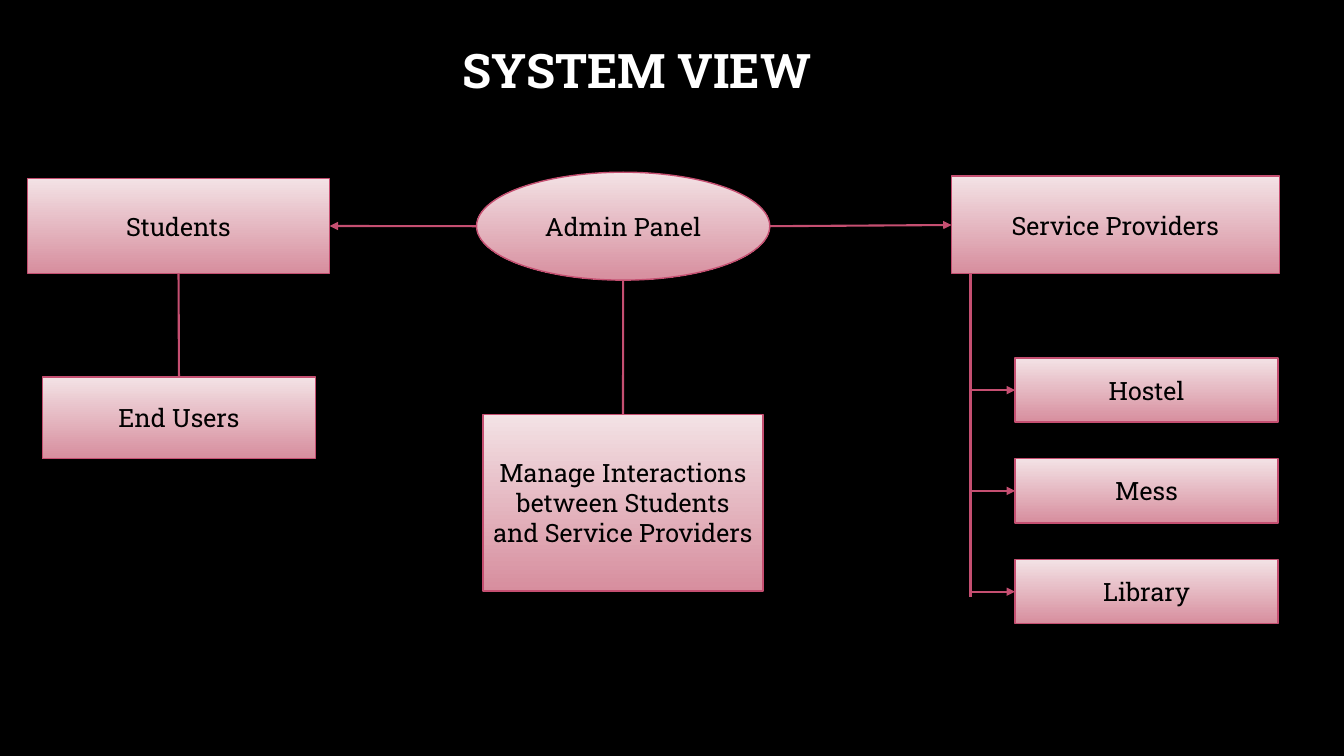
from dataclasses import dataclass
from lxml.etree import SubElement
from pptx import Presentation
from pptx.dml.color import RGBColor
from pptx.enum.shapes import MSO_CONNECTOR, MSO_SHAPE
from pptx.enum.text import MSO_ANCHOR, PP_ALIGN
from pptx.oxml.ns import qn
from pptx.util import Cm, Pt

TITLE = ("SYSTEM VIEW", (1.68, 0, 28.75, 3.68))
STUDENTS = ("Students", (0.69, 4.5, 7.62, 2.39))
END_USERS = ("End Users", (1.07, 9.5, 6.88, 2.06))
ADMIN = ("Admin Panel", (12.01, 4.34, 7.39, 2.72))
MANAGE = ("Manage Interactions between Students and Service Providers",
          (12.17, 10.44, 7.06, 4.45))
PROVIDERS = ("Service Providers", (23.98, 4.44, 8.26, 2.46))
SERVICES = ["Hostel", "Mess", "Library"]
SERVICE_FRAME = (25.58, 9.02, 6.63, 1.62)
SERVICE_PITCH = 2.54
TRUNK_X, TRUNK_END = 24.46, 15.04
TOP, LEFT, BOTTOM, RIGHT = range(4)


@dataclass(frozen=True)
class Theme:
    font: str = "Roboto Slab"
    background: RGBColor = RGBColor(0, 0, 0)
    heading: RGBColor = RGBColor(255, 255, 255)
    label: RGBColor = RGBColor(0, 0, 0)
    light: RGBColor = RGBColor(0xF3, 0xE2, 0xE5)
    deep: RGBColor = RGBColor(0xD7, 0x8E, 0x9E)
    accent: RGBColor = RGBColor(0xC5, 0x4F, 0x71)
    heading_size: int = 34
    label_size: int = 18
    border: float = 1
    link: float = 1.5
    trunk: float = 2


theme = Theme()


def write(holder, text, size=theme.label_size, color=theme.label, bold=False, spacing=1.0):
    frame = holder.text_frame
    frame.word_wrap = True
    frame.vertical_anchor = MSO_ANCHOR.MIDDLE
    paragraph = frame.paragraphs[0]
    paragraph.alignment = PP_ALIGN.CENTER
    paragraph.line_spacing = spacing
    run = paragraph.add_run()
    run.text = text
    run.font.name = theme.font
    run.font.size = Pt(size)
    run.font.bold = bold
    run.font.color.rgb = color


def add_node(slide, text, frame, outline=MSO_SHAPE.RECTANGLE):
    node = slide.shapes.add_shape(outline, *map(Cm, frame))
    node.shadow.inherit = False
    node.fill.gradient()
    node.fill.gradient_angle = 270
    for stop, color in zip(node.fill.gradient_stops, (theme.light, theme.deep)):
        stop.color.rgb = color
    node.line.color.rgb = theme.accent
    node.line.width = Pt(theme.border)
    write(node, text)
    return node


def add_link(slide, start, end, begin=None, finish=None, width=theme.link, arrow=False):
    link = slide.shapes.add_connector(MSO_CONNECTOR.STRAIGHT, *start, *end)
    if begin:
        link.begin_connect(*begin)
    if finish:
        link.end_connect(*finish)
    link.line.color.rgb = theme.accent
    link.line.width = Pt(width)
    if arrow:
        SubElement(link.line._get_or_add_ln(), qn("a:tailEnd"), type="triangle")
    SubElement(link._element.spPr, qn("a:effectLst"))


def side(node, site):
    x, y = node.left + node.width // 2, node.top + node.height // 2
    return {TOP: (x, node.top), LEFT: (node.left, y),
            BOTTOM: (x, node.top + node.height), RIGHT: (node.left + node.width, y)}[site]


def main():
    deck = Presentation()
    deck.slide_width, deck.slide_height = Cm(33.87), Cm(19.05)
    slide = deck.slides.add_slide(deck.slide_layouts[6])
    slide.background.fill.solid()
    slide.background.fill.fore_color.rgb = theme.background

    heading, heading_frame = TITLE
    write(slide.shapes.add_textbox(*map(Cm, heading_frame)), heading,
          size=theme.heading_size, color=theme.heading, bold=True, spacing=0.9)

    students = add_node(slide, *STUDENTS)
    end_users = add_node(slide, *END_USERS)
    admin = add_node(slide, *ADMIN, outline=MSO_SHAPE.OVAL)
    manage = add_node(slide, *MANAGE)
    providers = add_node(slide, *PROVIDERS)

    add_link(slide, side(students, BOTTOM), side(end_users, TOP),
             begin=(students, BOTTOM), finish=(end_users, TOP))
    add_link(slide, side(admin, LEFT), side(students, RIGHT),
             finish=(students, RIGHT), arrow=True)
    add_link(slide, side(admin, RIGHT), side(providers, LEFT),
             finish=(providers, LEFT), arrow=True)
    add_link(slide, side(admin, BOTTOM), side(manage, TOP), finish=(manage, TOP))

    trunk_x = Cm(TRUNK_X)
    add_link(slide, (trunk_x, providers.top + providers.height),
             (trunk_x, Cm(TRUNK_END)), width=theme.trunk)
    left, top, width, height = SERVICE_FRAME
    for row, name in enumerate(SERVICES):
        service = add_node(slide, name, (left, top + row * SERVICE_PITCH, width, height))
        entry = side(service, LEFT)
        add_link(slide, (trunk_x, entry[1]), entry, finish=(service, LEFT), arrow=True)

    deck.save("out.pptx")


if __name__ == "__main__":
    main()
